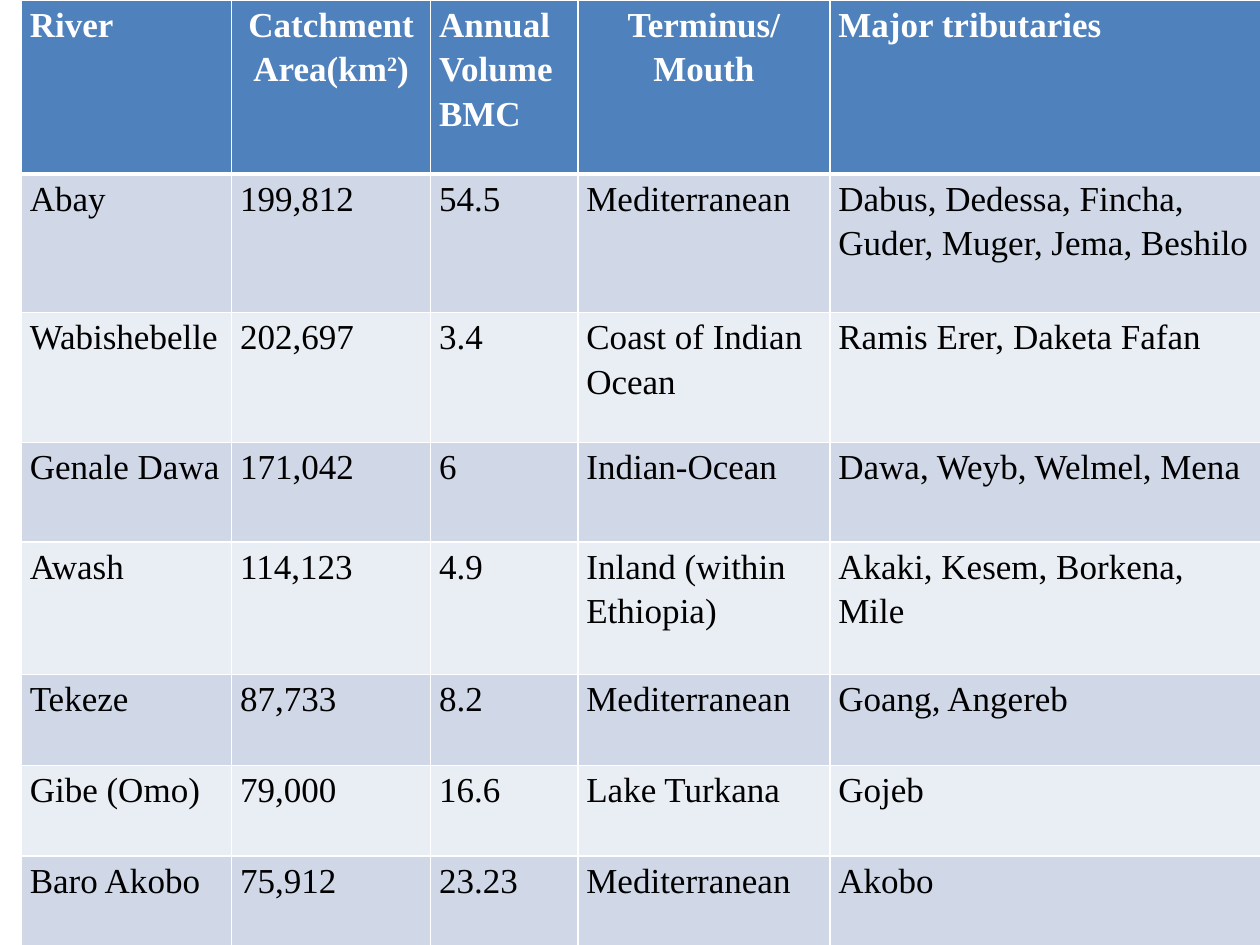
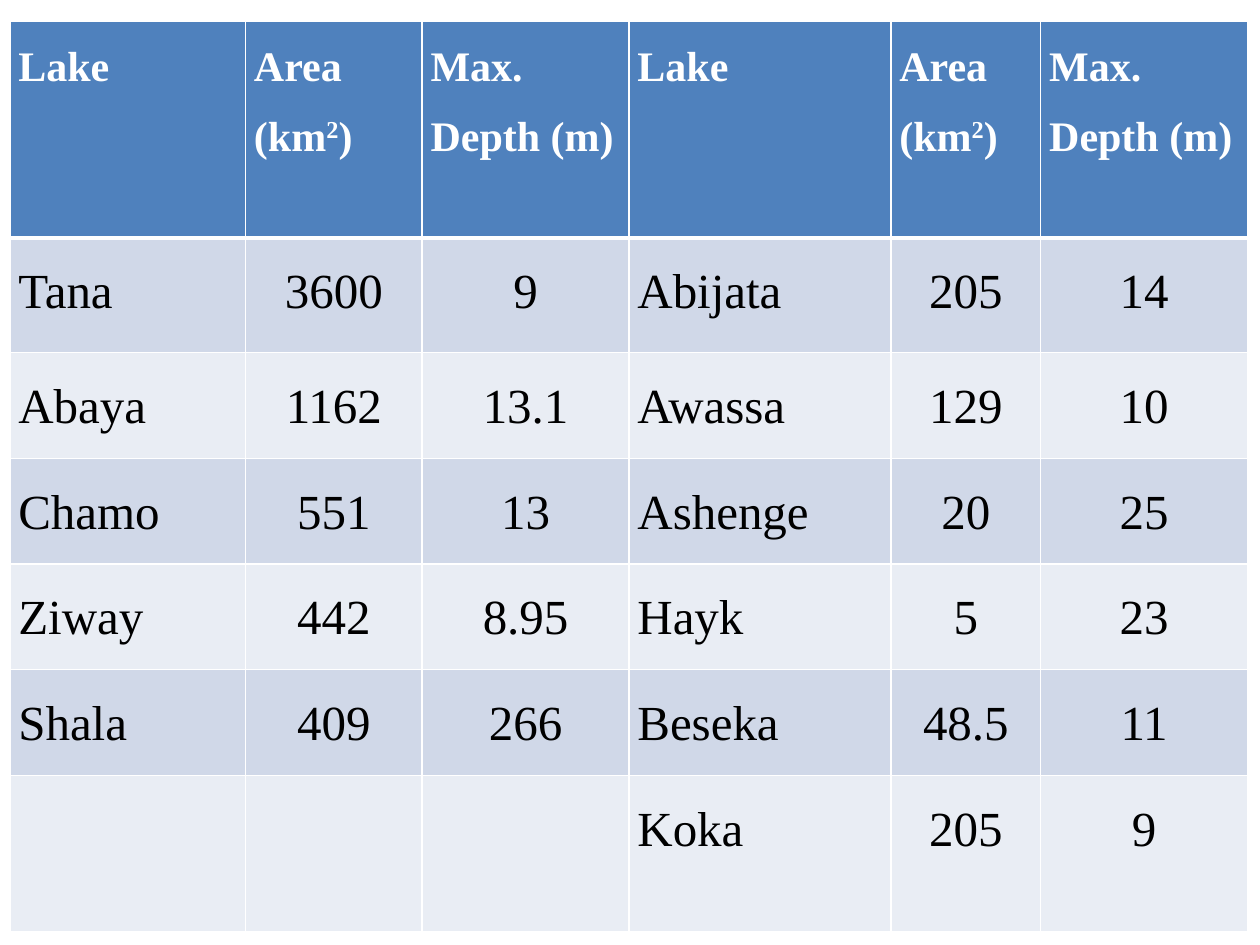
from lxml import etree
from pptx import Presentation
from pptx import util as u
from pptx.dml.color import RGBColor
from pptx.enum import text
from pptx.oxml import ns

HEADER_BLUE = RGBColor(0x4F, 0x81, 0xBD)
BAND_DARK = RGBColor(0xD0, 0xD8, 0xE8)
BAND_LIGHT = RGBColor(0xE9, 0xED, 0xF4)
WHITE = RGBColor(0xFF, 0xFF, 0xFF)
BLACK = RGBColor(0x00, 0x00, 0x00)
FONT = "Times New Roman"
SIDE_MARGIN = u.Cm(0.17)

LEFT, CENTER, JUSTIFY = (text.PP_ALIGN.LEFT, text.PP_ALIGN.CENTER,
                         text.PP_ALIGN.JUSTIFY)

rivers = dict(
    left=0.43, top=0,
    widths=[4.24, 4.01, 2.97, 5.08, 8.69],
    heights=[3.51, 2.79, 2.62, 2.01, 2.67] + [1.83] * 3,
    spacing=1.15, header_size=20, body_size=20,
    header_align=[LEFT, CENTER, LEFT, CENTER, LEFT],
    body_align=[LEFT] * 5,
    rows=[
        ["River", "Catchment Area(km²)", "Annual Volume BMC",
         "Terminus/\nMouth", "Major tributaries"],
        ["Abay", "199,812", "54.5", "Mediterranean",
         "Dabus, Dedessa, Fincha, Guder, Muger, Jema, Beshilo"],
        ["Wabishebelle", "202,697", "3.4", "Coast of Indian Ocean",
         "Ramis Erer, Daketa Fafan"],
        ["Genale Dawa", "171,042", "6", "Indian-Ocean",
         "Dawa, Weyb, Welmel, Mena"],
        ["Awash", "114,123", "4.9", "Inland (within Ethiopia)",
         "Akaki, Kesem, Borkena, Mile"],
        ["Tekeze", "87,733", "8.2", "Mediterranean", "Goang, Angereb"],
        ["Gibe (Omo)", "79,000", "16.6", "Lake Turkana", "Gojeb"],
        ["Baro Akobo", "75,912", "23.23", "Mediterranean", "Akobo"],
    ])

lakes = dict(
    left=0.2, top=0.43,
    widths=[4.75, 3.56, 4.17, 5.28, 3.02, 4.17],
    heights=[4.37, 2.31] + [2.13] * 4 + [3.15],
    spacing=1.5, header_size=24, body_size=28,
    header_align=[JUSTIFY] * 6,
    body_align=[LEFT, CENTER, CENTER] * 2,
    rows=[
        ["Lake", "Area (km²)", "Max. Depth (m)"] * 2,
        ["Tana", "3600", "9", "Abijata", "205", "14"],
        ["Abaya", "1162", "13.1", "Awassa", "129", "10"],
        ["Chamo", "551", "13", "Ashenge", "20", "25"],
        ["Ziway", "442", "8.95", "Hayk", "5", "23"],
        ["Shala", "409", "266", "Beseka", "48.5", "11"],
        ["", "", "", "Koka", "205", "9"],
    ])


def add_borders(cell, top, bottom):
    """White cell edges; top and bottom are widths in points."""
    properties = cell._tc.get_or_add_tcPr()
    for edge, width in (("lnL", 1), ("lnR", 1), ("lnT", top), ("lnB", bottom)):
        line = etree.SubElement(properties, ns.qn(f"a:{edge}"), w=str(u.Pt(width)))
        fill = etree.SubElement(line, ns.qn("a:solidFill"))
        etree.SubElement(fill, ns.qn("a:srgbClr"), val=str(WHITE))


def write_text(cell, content, align, spacing, size, bold, color):
    """Fill a cell, raising the 2 of a trailing km² as superscript."""
    before, squared, after = content.partition("²")
    cell.text_frame.text = before
    if squared:
        paragraph = cell.text_frame.paragraphs[0]
        exponent, ending = paragraph.add_run(), paragraph.add_run()
        exponent.text, ending.text = "2", after
        exponent._r.get_or_add_rPr().set("baseline", "30000")
    for paragraph in cell.text_frame.paragraphs:
        paragraph.alignment = align
        paragraph.line_spacing = spacing
        for run in paragraph.runs:
            run.font.name = FONT
            run.font.size = u.Pt(size)
            run.font.bold = bold
            run.font.color.rgb = color


deck = Presentation()
deck.slide_width, deck.slide_height = u.Cm(25.4), u.Cm(19.05)

for topic in (rivers, lakes):
    slide = deck.slides.add_slide(deck.slide_layouts[6])
    rows, widths, heights = topic["rows"], topic["widths"], topic["heights"]
    grid = slide.shapes.add_table(
        len(rows), len(widths), u.Cm(topic["left"]), u.Cm(topic["top"]),
        u.Cm(sum(widths)), u.Cm(sum(heights))).table
    for column, width in zip(grid.columns, widths):
        column.width = u.Cm(width)
    for row, height in zip(grid.rows, heights):
        row.height = u.Cm(height)

    for r, entries in enumerate(rows):
        is_header = r == 0
        part = "header" if is_header else "body"
        band = HEADER_BLUE if is_header else (BAND_LIGHT, BAND_DARK)[r % 2]
        for c, entry in enumerate(entries):
            cell = grid.cell(r, c)
            cell.margin_left = cell.margin_right = SIDE_MARGIN
            cell.margin_top = cell.margin_bottom = 0
            add_borders(cell, top=3 if r == 1 else 1, bottom=3 if is_header else 1)
            cell.fill.solid()
            cell.fill.fore_color.rgb = band
            write_text(cell, entry, topic[f"{part}_align"][c], topic["spacing"],
                       topic[f"{part}_size"], is_header,
                       WHITE if is_header else BLACK)

deck.save("out.pptx")
